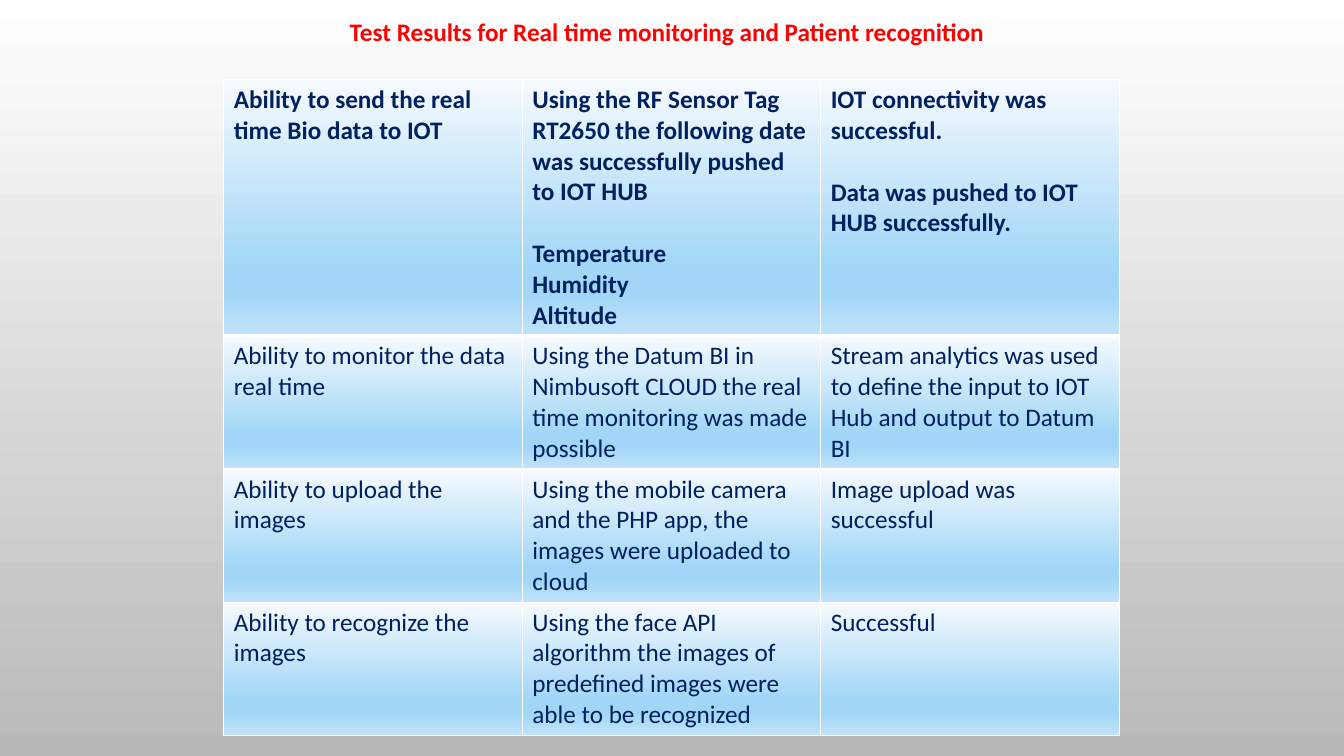
from lxml.etree import SubElement
from pptx import Presentation
from pptx.dml.color import RGBColor
from pptx.oxml import parse_xml
from pptx.oxml.ns import nsdecls, qn
from pptx.util import Inches, Pt

FONT = "Calibri"
NAVY, RED, WHITE = "002060", "FF0000", "FFFFFF"
PAGE_STOPS = [(0, WHITE), (100, "B9B9B9")]
CELL_STOPS = [(0, "F5FAFE"), (74, "A1D6F7"), (83, "A1D6F7"), (100, "C1E3FA")]
COL_WIDTH = 2.96
ROW_HEIGHTS = [2.53, 1.32, 1.32, 1.32]

# Each cell is a list of blocks; a block is a list of paragraphs.
RESULTS = [
    [[["Ability to send the real time Bio data to IOT"]],
     [["Using the RF Sensor Tag RT2650 the following date was successfully "
       "pushed to IOT HUB"],
      ["Temperature", "Humidity", "Altitude"]],
     [["IOT connectivity was successful."],
      ["Data was pushed to IOT HUB successfully."]]],
    [[["Ability to monitor the data real time"]],
     [["Using the Datum BI in Nimbusoft CLOUD the real time monitoring was "
       "made possible"]],
     [["Stream analytics was used to define the input to IOT Hub and output "
       "to Datum BI"]]],
    [[["Ability to upload the images"]],
     [["Using the mobile camera and the PHP app, the images were uploaded "
       "to cloud"]],
     [["Image upload was successful"]]],
    [[["Ability to recognize the images"]],
     [["Using the face API algorithm the images of predefined images were "
       "able to be recognized"]],
     [["Successful"]]],
]


def rgb(color):
    return RGBColor.from_string(color)


def set_text(tf, blocks, size=18, color=NAVY, bold=False, gap=22):
    """Write blocks of paragraphs, with a gap in points between blocks."""
    tf.word_wrap = True
    p = None
    for block in blocks:
        for i, text in enumerate(block):
            first = p is None
            p = tf.paragraphs[0] if first else tf.add_paragraph()
            if i == 0 and not first:
                p.space_before = Pt(gap)
            r = p.add_run()
            r.text = text
            r.font.name, r.font.size, r.font.bold = FONT, Pt(size), bold
            r.font.color.rgb = rgb(color)


def set_gradient(fill, element, stops):
    """Fill from top to bottom; element is the XML that holds the fill."""
    fill.gradient()
    fill.gradient_angle = 270
    gs_list = next(element.iter(qn("a:gsLst")))
    gs_list.clear()
    for position, color in stops:
        gs = SubElement(gs_list, qn("a:gs"), pos=str(position * 1000))
        SubElement(gs, qn("a:srgbClr"), val=color)


def set_borders(cell, **widths):
    """Draw white borders; widths are points by side: L, R, T, B."""
    tc_pr = cell._tc.get_or_add_tcPr()
    for i, (side, width) in enumerate(widths.items()):
        tc_pr.insert(i, parse_xml(
            f'<a:ln{side} {nsdecls("a")} w="{Pt(width)}"><a:solidFill>'
            f'<a:srgbClr val="{WHITE}"/></a:solidFill></a:ln{side}>'))


def add_title(slide, text):
    box = slide.shapes.add_textbox(Inches(3.37), Inches(0.11),
                                   Inches(7.74), Inches(0.4))
    set_text(box.text_frame, [[text]], color=RED, bold=True)


def add_results_table(slide, rows):
    n_cols = len(rows[0])
    table = slide.shapes.add_table(
        len(rows), n_cols, Inches(2.22), Inches(0.79),
        Inches(COL_WIDTH * n_cols), Inches(sum(ROW_HEIGHTS))).table
    for col in table.columns:
        col.width = Inches(COL_WIDTH)
    for i, (row, height) in enumerate(zip(rows, ROW_HEIGHTS)):
        table.rows[i].height = Inches(height)
        for j, blocks in enumerate(row):
            cell = table.cell(i, j)
            set_text(cell.text_frame, blocks, bold=i == 0)
            set_gradient(cell.fill, cell._tc, CELL_STOPS)
            set_borders(cell, L=1, R=1, T=3 if i == 1 else 1,
                        B=3 if i == 0 else 1)


def main():
    prs = Presentation()
    prs.slide_width, prs.slide_height = Inches(13.33), Inches(7.5)
    slide = prs.slides.add_slide(prs.slide_layouts[6])
    set_gradient(slide.background.fill, slide.element, PAGE_STOPS)
    add_results_table(slide, RESULTS)
    add_title(slide, "Test Results for Real time monitoring and "
                     "Patient recognition")
    prs.save("out.pptx")


if __name__ == "__main__":
    main()
